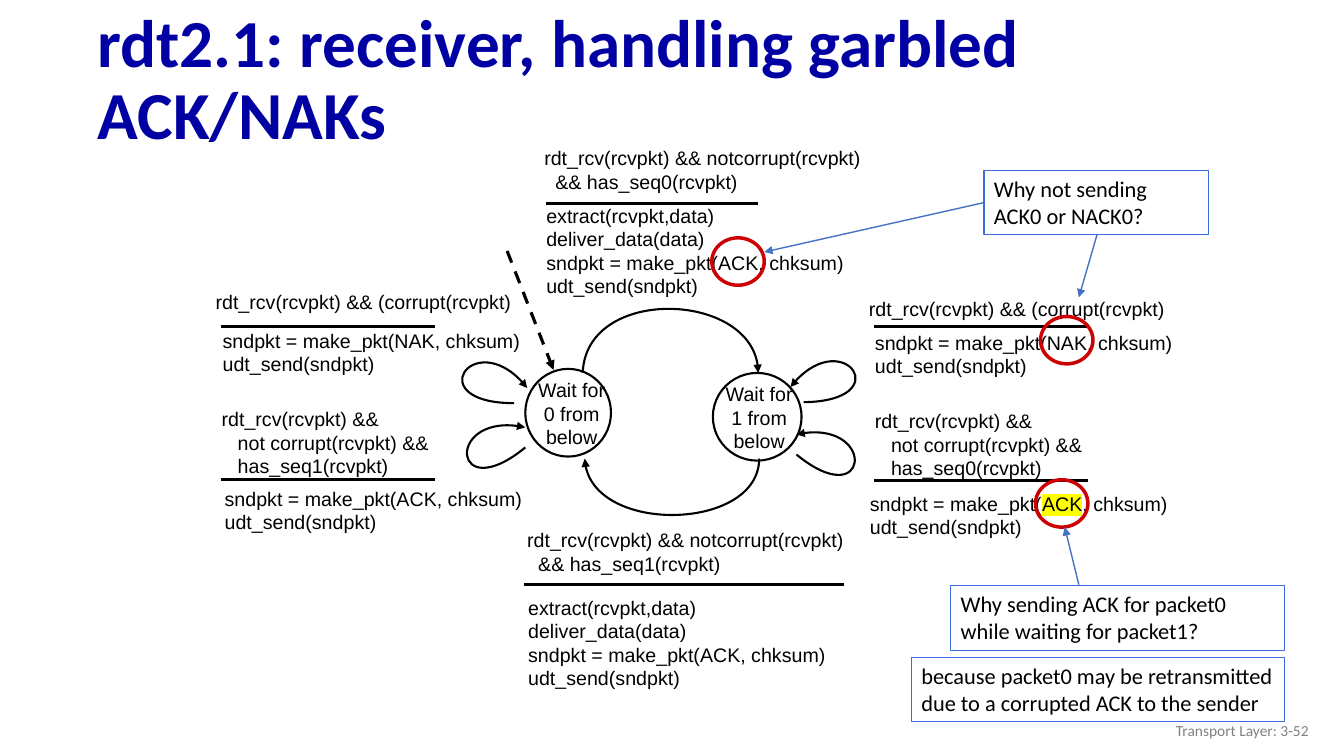
from dataclasses import dataclass

from pptx import Presentation
from pptx.dml.color import RGBColor
from pptx.enum.dml import MSO_LINE
from pptx.enum.shapes import MSO_CONNECTOR, MSO_SHAPE
from pptx.enum.text import MSO_ANCHOR, PP_ALIGN
from pptx.oxml.ns import qn
from pptx.oxml.xmlchemy import OxmlElement
from pptx.util import Pt

PX = 9144  # 100 px to the inch


@dataclass(frozen=True)
class Theme:
    title_font: str = "Calibri"
    code_font: str = "Arial"
    title: str = "0000A3"
    ink: str = "000000"
    paper: str = "FFFFFF"
    footer: str = "808080"
    ring: str = "CD0004"
    arrow: str = "4472C4"
    frame: str = "3C6CDF"
    mark: str = "FFFF00"
    title_size: int = 48
    note_size: int = 16
    code_size: int = 14
    footer_size: int = 11


@dataclass(frozen=True)
class Transition:
    """A rule with its condition above and actions below, offset from its left end."""
    rule: tuple
    width: int
    condition: list
    condition_offset: tuple
    actions: list
    actions_offset: tuple
    indent: int = 0
    marked: str = ""


T = Theme()


def send(reply):
    return [f"sndpkt = make_pkt({reply}, chksum)", "udt_send(sndpkt)"]


def deliver(seq):
    return ["rdt_rcv(rcvpkt) && notcorrupt(rcvpkt)", f"&& has_seq{seq}(rcvpkt)"]


def duplicate(seq):
    return ["rdt_rcv(rcvpkt) &&", "not corrupt(rcvpkt) &&", f"has_seq{seq}(rcvpkt)"]


CORRUPT = ["rdt_rcv(rcvpkt) && (corrupt(rcvpkt)"]
ACCEPT = ["extract(rcvpkt,data)", "deliver_data(data)"] + send("ACK")
TRANSITIONS = [
    Transition((342, 62), 210, deliver(0), (-12, -62), ACCEPT, (-10, -5), 11),
    Transition((320, 440), 317, deliver(1), (-7, -61), ACCEPT, (-6, 6), 11),
    Transition((667, 184), 212, CORRUPT, (-15, -34), send("NAK"), (-9, -1)),
    Transition((667, 337), 212, duplicate(0), (-9, -76), send("ACK"), (-14, 6), 16, "ACK"),
    Transition((19, 336), 212, duplicate(1), (-9, -77), send("ACK"), (-6, 2), 16),
    Transition((19, 184), 212, CORRUPT, (-15, -41), send("NAK"), (-8, -3)),
]
ARCS = [
    [(378, 230), (381, 144), (552, 149), (552, 230)],
    [(553, 315), (553, 386), (383, 391), (380, 315)],
]
# position, width, text and self-loops (relative to the state)
STATES = [
    ((321, 226), 85, ["Wait for", "0 from below"],
     [[(-11, 34), (-104, 34), (-49, -46), (2, 19)],
      [(0, 78), (-72, 137), (-80, 41), (0, 58)]]),
    ((507, 230), 88, ["Wait for", "1 from below"],
     [[(90, 29), (183, 28), (128, -51), (77, 14)],
      [(83, 81), (155, 140), (163, 44), (83, 61)]]),
]
NOTES = [
    ((276, 9, 223, 64), "Why not sending ACK0 or NACK0?"),
    ((243, 421, 331, 64), "Why sending ACK for packet0 while waiting for packet1?"),
    ((204, 492, 370, 64),
     "because packet0 may be retransmitted due to a corrupted ACK to the sender"),
]
RINGS = [(6, 76), (332, 154), (327, 316)]
NOTE_ARROWS = [
    ((276, 41), (58, 90)),
    ((388, 73), (370, 135)),
    ((370, 420), (356, 363)),
]


def emu(*lengths):
    return [n * PX for n in lengths]


def rgb(color):
    return RGBColor.from_string(color)


def style_line(sp, color, width, arrow=False):
    sp.line.color.rgb = rgb(color)
    sp.line.width = Pt(width)
    if arrow:
        tail = OxmlElement("a:tailEnd")
        tail.set("type", "triangle")
        sp.line._get_or_add_ln().append(tail)


def add_line(slide, start, end, color, width, arrow=False, dash=False):
    sp = slide.shapes.add_connector(MSO_CONNECTOR.STRAIGHT, *emu(*start, *end))
    style_line(sp, color, width)
    if dash:
        sp.line.dash_style = MSO_LINE.DASH
    if arrow:
        style_line(sp, color, width, arrow=True)
    sp._element.spPr.append(OxmlElement("a:effectLst"))


def add_curve(slide, x, y, points):
    """Draw one cubic curve with an arrowhead: start, two controls, end."""
    pts = [(x + dx, y + dy) for dx, dy in points]
    builder = slide.shapes.build_freeform(*pts[0], scale=PX)
    builder.add_line_segments(pts[1:], close=False)
    sp = builder.convert_to_shape()
    sp.shadow.inherit = False
    sp.fill.background()
    style_line(sp, T.ink, 1.5, arrow=True)
    path = next(sp._element.iter(qn("a:path")))
    bezier = OxmlElement("a:cubicBezTo")
    for segment in path.findall(qn("a:lnTo")):
        bezier.append(segment[0])
        path.remove(segment)
    path.append(bezier)


def add_outline(slide, preset, box, color, width, fill=None):
    sp = slide.shapes.add_shape(preset, *emu(*box))
    sp.shadow.inherit = False
    if fill:
        sp.fill.solid()
        sp.fill.fore_color.rgb = rgb(fill)
    else:
        sp.fill.background()
    style_line(sp, color, width)
    return sp


def write(sp, lines, font, size, color, align=PP_ALIGN.LEFT, anchor=MSO_ANCHOR.TOP,
          bold=False, indent=0, marked=""):
    """Fill a shape with lines; indent moves every line after the first."""
    tf = sp.text_frame
    tf.word_wrap = True
    tf.vertical_anchor = anchor
    for i, line in enumerate(lines):
        p = tf.paragraphs[0] if i == 0 else tf.add_paragraph()
        p.alignment = align
        if i and indent:
            p._p.get_or_add_pPr().set("marL", str(indent * PX))
        parts = line.partition(marked) if marked else (line,)
        for part in filter(None, parts):
            r = p.add_run()
            r.text = part
            r.font.size = Pt(size)
            r.font.bold = bold
            r.font.color.rgb = rgb(color)
            r.font.name = font
            if part == marked:
                highlight = OxmlElement("a:highlight")
                srgb = OxmlElement("a:srgbClr")
                srgb.set("val", T.mark)
                highlight.append(srgb)
                r._r.rPr.find(qn("a:latin")).addprevious(highlight)
    return tf


def add_text(slide, box, lines, font, size, color, **options):
    sp = slide.shapes.add_textbox(*emu(*box))
    return write(sp, lines, font, size, color, **options)


def add_code(slide, box, lines, **options):
    add_text(slide, box, lines, T.code_font, T.code_size, T.ink, **options)


def add_transition(slide, x, y, t):
    x, y = x + t.rule[0], y + t.rule[1]
    (cx, cy), (ax, ay) = t.condition_offset, t.actions_offset
    add_code(slide, (x + cx, y + cy, 360, 62), t.condition, indent=t.indent)
    add_line(slide, (x, y), (x + t.width, y), T.ink, 2.25)
    add_code(slide, (x + ax, y + ay, 360, 24 * len(t.actions)), t.actions, marked=t.marked)


def add_state(slide, x, y, width, lines, loops):
    add_outline(slide, MSO_SHAPE.OVAL, (x, y, width, 87), T.ink, 1.5, T.paper)
    add_code(slide, (x + 2, y + 4, 88, 67), lines, align=PP_ALIGN.CENTER)
    for loop in loops:
        add_curve(slide, x, y, loop)


def add_state_machine(slide, x, y):
    for (dx, dy), width, lines, loops in STATES:
        add_state(slide, x + dx, y + dy, width, lines, loops)
    add_line(slide, (x + 303, y + 109), (x + 349, y + 227), T.ink, 2.25, arrow=True, dash=True)
    for arc in ARCS:
        add_curve(slide, x, y, arc)
    for t in TRANSITIONS:
        add_transition(slide, x, y, t)


def add_notes_and_rings(slide, x, y):
    for dx, dy in RINGS:
        add_outline(slide, MSO_SHAPE.OVAL, (x + dx, y + dy, 52, 47), T.ring, 2.5)
    for (dx, dy, w, h), text in NOTES:
        sp = add_outline(slide, MSO_SHAPE.RECTANGLE, (x + dx, y + dy, w, h), T.frame, 0.75)
        write(sp, [text], T.title_font, T.note_size, T.ink)
    for (x1, y1), (x2, y2) in NOTE_ARROWS:
        add_line(slide, (x + x1, y + y1), (x + x2, y + y2), T.arrow, 1, arrow=True)


def add_title_and_footer(slide):
    tf = add_text(slide, (87, 32, 1214, 98), ["rdt2.1: receiver, handling garbled ACK/NAKs"],
                  T.title_font, T.title_size, T.title, bold=True, anchor=MSO_ANCHOR.MIDDLE)
    tf.paragraphs[0].line_spacing = 0.9
    add_text(slide, (1008, 705, 300, 40), ["Transport Layer: 3-52"], T.title_font,
             T.footer_size, T.footer, align=PP_ALIGN.RIGHT, anchor=MSO_ANCHOR.MIDDLE)


def main():
    prs = Presentation()
    prs.slide_width, prs.slide_height = emu(1333, 750)
    slide = prs.slides.add_slide(prs.slide_layouts[6])
    add_title_and_footer(slide)
    add_state_machine(slide, 200, 140)
    add_notes_and_rings(slide, 700, 160)
    prs.save("out.pptx")


if __name__ == "__main__":
    main()
